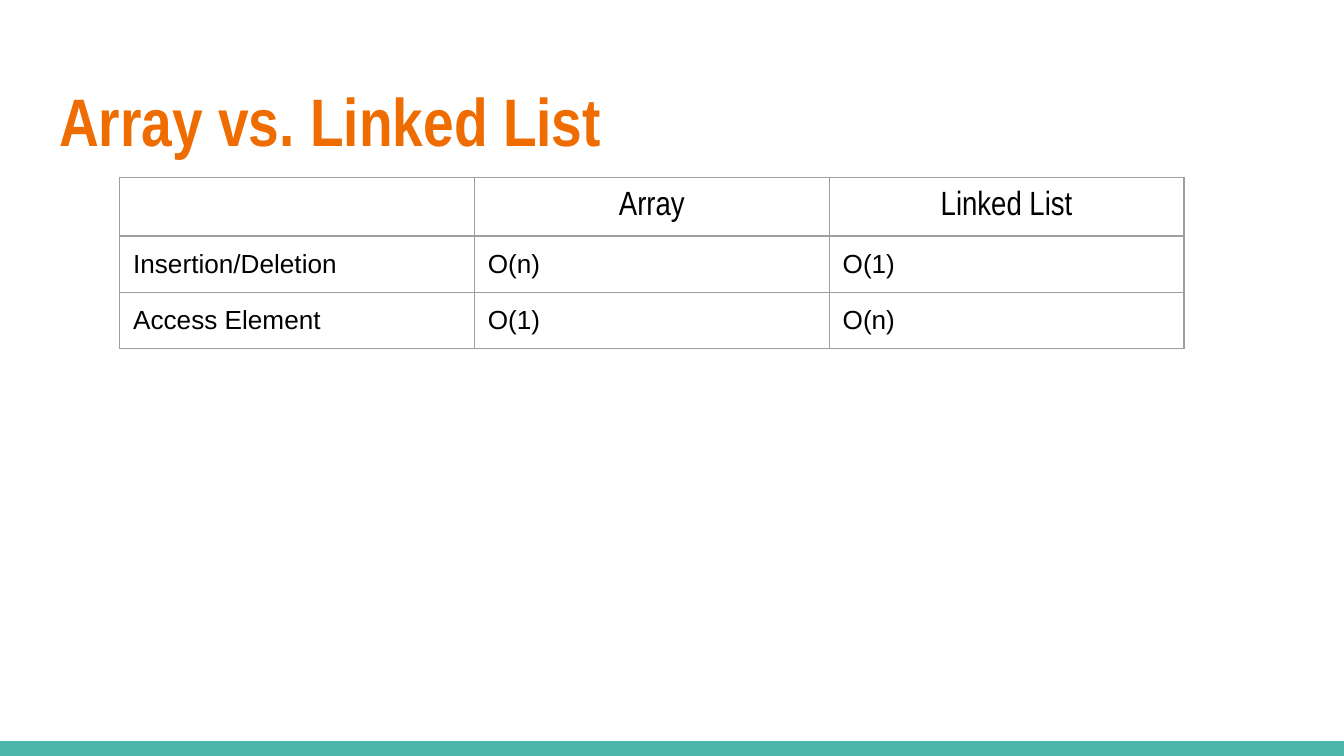
from dataclasses import dataclass

from lxml import etree
from pptx import Presentation
from pptx.dml.color import RGBColor
from pptx.enum.shapes import MSO_SHAPE
from pptx.enum.text import MSO_ANCHOR, PP_ALIGN
from pptx.oxml.ns import qn
from pptx.util import Inches, Pt

RECTANGLE = MSO_SHAPE.RECTANGLE
TOP, BOTTOM = MSO_ANCHOR.TOP, MSO_ANCHOR.BOTTOM
LEFT, CENTER = PP_ALIGN.LEFT, PP_ALIGN.CENTER
TITLE_ONLY_LAYOUT = 5

WIDTH = Inches(10)
HEIGHT = WIDTH * 9 // 16
INSET = Inches(0.1)
COLUMN_WIDTH, ROW_HEIGHT = Inches(2.64), Inches(0.42)
TEAL, ORANGE, BLACK, GREY = "4DB6AC", "EF6C00", "000000", "9E9E9E"
ROWS = [
    ("", "Array", "Linked List"),
    ("Insertion/Deletion", "O(n)", "O(1)"),
    ("Access Element", "O(1)", "O(n)"),
]


@dataclass(frozen=True)
class TextStyle:
    font: str
    size: int
    color: str
    bold: bool = False
    alignment: PP_ALIGN = LEFT


TITLE_STYLE = TextStyle("Arial Narrow", 36, ORANGE, bold=True)
HEADER_STYLE = TextStyle("Arial Narrow", 18, BLACK, alignment=CENTER)
BODY_STYLE = TextStyle("Arial", 14, BLACK)


def rgb(color: str) -> RGBColor:
    return RGBColor.from_string(color)


def write(text_frame, text: str, style: TextStyle) -> None:
    paragraph = text_frame.paragraphs[0]
    paragraph.alignment = style.alignment
    run = paragraph.add_run()
    run.text = text
    run.font.name = style.font
    run.font.size = Pt(style.size)
    run.font.bold = style.bold
    run.font.color.rgb = rgb(style.color)


def size_empty_paragraph(text_frame, style: TextStyle) -> None:
    """Keep an empty cell from stretching its row."""
    paragraph = text_frame.paragraphs[0]._p
    end = etree.SubElement(paragraph, qn("a:endParaRPr"), sz=str(style.size * 100))
    etree.SubElement(end, qn("a:latin"), typeface=style.font)


def set_insets(holder) -> None:
    """Give a cell or text frame the same margin on all sides."""
    holder.margin_left = holder.margin_right = INSET
    holder.margin_top = holder.margin_bottom = INSET


def add_borders(cell, color: str, width: float) -> None:
    properties = cell._tc.get_or_add_tcPr()
    for position, side in enumerate(("a:lnL", "a:lnR", "a:lnT", "a:lnB")):
        line = etree.Element(qn(side), w=str(Pt(width)))
        fill = etree.SubElement(line, qn("a:solidFill"))
        etree.SubElement(fill, qn("a:srgbClr"), val=color)
        properties.insert(position, line)


def add_title(slide, text: str) -> None:
    title = slide.shapes.title
    title.left, title.top = Inches(0.34), Inches(0.49)
    title.width, title.height = Inches(9.32), Inches(0.77)
    frame = title.text_frame
    frame.word_wrap = True
    frame.vertical_anchor = BOTTOM
    set_insets(frame)
    frame.margin_bottom = Inches(0.07)
    write(frame, text, TITLE_STYLE)


def add_footer_bar(slide) -> None:
    bar_height = Inches(0.11)
    bar = slide.shapes.add_shape(RECTANGLE, 0, HEIGHT - bar_height, WIDTH, bar_height)
    bar.shadow.inherit = False
    bar.fill.solid()
    bar.fill.fore_color.rgb = rgb(TEAL)
    bar.line.fill.background()


def add_comparison_table(slide, rows: list[tuple[str, ...]]) -> None:
    row_count, column_count = len(rows), len(rows[0])
    table = slide.shapes.add_table(
        row_count, column_count, Inches(0.89), Inches(1.32),
        COLUMN_WIDTH * column_count, ROW_HEIGHT * row_count,
    ).table
    table.first_row = table.horz_banding = False
    for row_index, texts in enumerate(rows):
        style = BODY_STYLE if row_index else HEADER_STYLE
        for column_index, text in enumerate(texts):
            cell = table.cell(row_index, column_index)
            cell.fill.background()
            cell.vertical_anchor = TOP
            set_insets(cell)
            add_borders(cell, GREY, 0.75)
            if text:
                write(cell.text_frame, text, style)
            else:
                size_empty_paragraph(cell.text_frame, BODY_STYLE)


def main() -> None:
    presentation = Presentation()
    presentation.slide_width, presentation.slide_height = WIDTH, HEIGHT
    slide = presentation.slides.add_slide(presentation.slide_layouts[TITLE_ONLY_LAYOUT])
    slide.background.fill.solid()
    slide.background.fill.fore_color.rgb = rgb("FFFFFF")
    add_footer_bar(slide)
    add_title(slide, "Array vs. Linked List")
    add_comparison_table(slide, ROWS)
    presentation.save("out.pptx")


if __name__ == "__main__":
    main()
